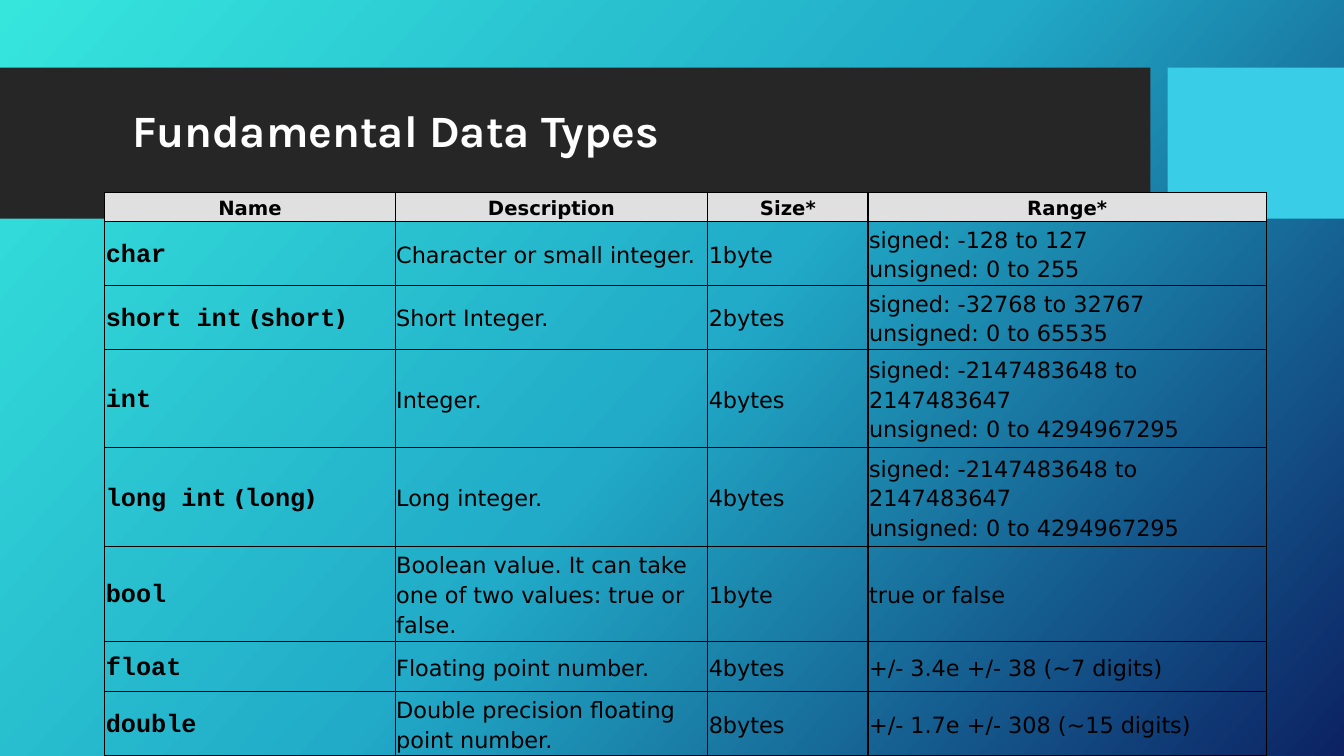
from copy import deepcopy
from dataclasses import dataclass

from lxml import etree
from pptx import Presentation
from pptx import util as u
from pptx.dml.color import RGBColor
from pptx.enum import shapes, text
from pptx.oxml import ns


@dataclass(frozen=True)
class Theme:
    gradient: tuple = ((0, "36E6DD"), (0.5, "21ABC8"), (1, "0C2263"))
    gradient_angle: int = 42
    banner: str = "262626"
    accent: str = "39CDE7"
    header_fill: str = "E0E0E0"
    title_color: str = "FFFFFF"
    ink: str = "000000"
    title_font: str = "Karla"
    body_font: str = "DejaVu Sans"
    code_font: str = "Courier New"
    title_size: int = 32
    header_size: int = 14
    body_size: int = 16
    code_size: int = 18


THEME = Theme()

HEADERS = ("Name", "Description", "Size*", "Range*")
INT_RANGE = "signed: -2147483648 to 2147483647\nunsigned: 0 to 4294967295"
# Type, short form, description, size, range
TYPES = (
    ("char", "", "Character or small integer.", "1byte",
     "signed: -128 to 127\nunsigned: 0 to 255"),
    ("short int", "short", "Short Integer.", "2bytes",
     "signed: -32768 to 32767\nunsigned: 0 to 65535"),
    ("int", "", "Integer.", "4bytes", INT_RANGE),
    ("long int", "long", "Long integer.", "4bytes", INT_RANGE),
    ("bool", "", "Boolean value. It can take one of two values: true or false.",
     "1byte", "true or false"),
    ("float", "", "Floating point number.", "4bytes", "+/- 3.4e +/- 38 (~7 digits)"),
    ("double", "", "Double precision floating point number.", "8bytes",
     "+/- 1.7e +/- 308 (~15 digits)"),
)
COLUMN_WIDTHS = (2.88, 3.1, 1.59, 3.95)
ROW_HEIGHTS = (0.27, 0.52, 0.52, 0.98, 0.98, 0.77, 0.5, 0.52)


def add_text(para, words, font, size, color=THEME.ink, bold=False):
    """Add one run per line of words, with line breaks between them."""
    for index, line in enumerate(words.split("\n")):
        if index:
            para.add_line_break()
        span = para.add_run()
        span.text = line
        span.font.name = font
        span.font.size = u.Pt(size)
        span.font.bold = bold
        span.font.color.rgb = RGBColor.from_string(color)


def prepare_cell(cell, fill=None):
    """Set margins, anchor, fill and borders; return the cell's paragraph."""
    cell.margin_left = cell.margin_right = u.Inches(0.01)
    cell.margin_top = cell.margin_bottom = u.Inches(0.01)
    cell.vertical_anchor = text.MSO_ANCHOR.MIDDLE
    if fill:
        cell.fill.solid()
        cell.fill.fore_color.rgb = RGBColor.from_string(fill)
    else:
        cell.fill.background()
    properties = cell._tc.get_or_add_tcPr()
    for index, side in enumerate(("lnL", "lnR", "lnT", "lnB")):
        border = etree.Element(ns.qn(f"a:{side}"), w=str(u.Pt(1)))
        solid = etree.SubElement(border, ns.qn("a:solidFill"))
        etree.SubElement(solid, ns.qn("a:srgbClr"), val=THEME.ink)
        properties.insert(index, border)
    para = cell.text_frame.paragraphs[0]
    para.line_spacing = 1.15
    return para


deck = Presentation()
deck.slide_width = u.Inches(13.33)
deck.slide_height = u.Inches(7.5)
page = deck.slides.add_slide(deck.slide_layouts[6])

# Background: python-pptx starts with two stops and counts angles anticlockwise
backdrop = page.background.fill
backdrop.gradient()
backdrop.gradient_angle = 360 - THEME.gradient_angle
stop_list = page.element.find(".//" + ns.qn("a:gsLst"))
stop_list.append(deepcopy(stop_list[-1]))
for stop, (position, color) in zip(backdrop.gradient_stops, THEME.gradient):
    stop.position = position
    stop.color.rgb = RGBColor.from_string(color)

# Banner and accent block
for left, width, color in ((0, 11.41, THEME.banner), (11.58, 1.75, THEME.accent)):
    block = page.shapes.add_shape(
        shapes.MSO_SHAPE.RECTANGLE,
        u.Inches(left), u.Inches(0.67), u.Inches(width), u.Inches(1.5))
    block.shadow.inherit = False
    block.fill.solid()
    block.fill.fore_color.rgb = RGBColor.from_string(color)
    block.line.fill.background()

# Title
title = page.shapes.add_textbox(
    u.Inches(1.22), u.Inches(0.69), u.Inches(9), u.Inches(1.25))
title.text_frame.word_wrap = True
title.text_frame.vertical_anchor = text.MSO_ANCHOR.MIDDLE
title_para = title.text_frame.paragraphs[0]
title_para.line_spacing = 0.9
add_text(title_para, "Fundamental Data Types", THEME.title_font, THEME.title_size,
         THEME.title_color, bold=True)

# Table of types
table = page.shapes.add_table(
    len(ROW_HEIGHTS), len(COLUMN_WIDTHS), u.Inches(1.04), u.Inches(1.91),
    u.Inches(sum(COLUMN_WIDTHS)), u.Inches(sum(ROW_HEIGHTS))).table
table.first_row = False
table.horz_banding = False
for column, width in zip(table.columns, COLUMN_WIDTHS):
    column.width = u.Inches(width)
for row, height in zip(table.rows, ROW_HEIGHTS):
    row.height = u.Inches(height)

for column, heading in enumerate(HEADERS):
    para = prepare_cell(table.cell(0, column), THEME.header_fill)
    para.alignment = text.PP_ALIGN.CENTER
    add_text(para, heading, THEME.body_font, THEME.header_size, bold=True)

for row, (name, short_form, *details) in enumerate(TYPES, start=1):
    para = prepare_cell(table.cell(row, 0))
    add_text(para, name, THEME.code_font, THEME.code_size, bold=True)
    if short_form:
        add_text(para, " (", THEME.body_font, THEME.body_size, bold=True)
        add_text(para, short_form, THEME.code_font, THEME.code_size, bold=True)
        add_text(para, ")", THEME.body_font, THEME.body_size, bold=True)
    for column, detail in enumerate(details, start=1):
        para = prepare_cell(table.cell(row, column))
        add_text(para, detail, THEME.body_font, THEME.body_size)

deck.save("out.pptx")
